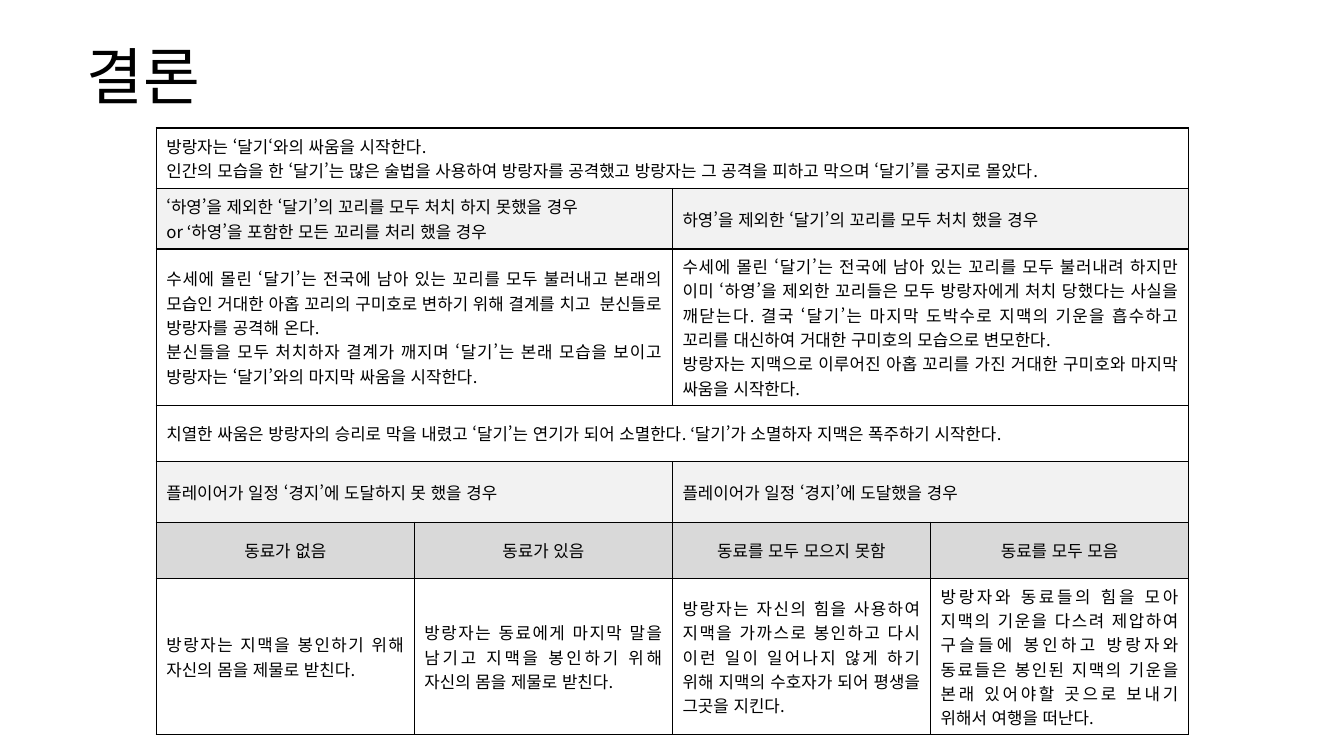
from pptx import Presentation
from pptx.dml.color import RGBColor
from pptx.enum.lang import MSO_LANGUAGE_ID
from pptx.enum.text import MSO_ANCHOR, PP_ALIGN
from pptx.oxml import parse_xml
from pptx.oxml.ns import nsdecls
from pptx.util import Inches, Pt

MIDDLE = MSO_ANCHOR.MIDDLE
LEFT, CENTER, JUSTIFY = PP_ALIGN.LEFT, PP_ALIGN.CENTER, PP_ALIGN.JUSTIFY
KOREAN = MSO_LANGUAGE_ID.KOREAN

FONT = "Noto Sans CJK KR"
BLACK, WHITE, LIGHT, GRAY = "000000", "FFFFFF", "F2F2F2", "D9D9D9"
COLUMNS = 4
COLUMN_WIDTH = 2.56

# Each row: height, fill, alignment, cells (equal spans); each cell lists its paragraphs
ROWS = [
    (0.6, WHITE, JUSTIFY, [
        ["방랑자는 ‘달기‘와의 싸움을 시작한다.",
         "인간의 모습을 한 ‘달기’는 많은 술법을 사용하여 방랑자를 공격했고 "
         "방랑자는 그 공격을 피하고 막으며 ‘달기’를 궁지로 몰았다."]]),
    (0.6, LIGHT, JUSTIFY, [
        ["‘하영’을 제외한 ‘달기’의 꼬리를 모두 처치 하지 못했을 경우",
         "or ‘하영’을 포함한 모든 꼬리를 처리 했을 경우"],
        ["하영’을 제외한 ‘달기’의 꼬리를 모두 처치 했을 경우"]]),
    (1.55, WHITE, JUSTIFY, [
        ["수세에 몰린 ‘달기’는 전국에 남아 있는 꼬리를 모두 불러내고 본래의 "
         "모습인 거대한 아홉 꼬리의 구미호로 변하기 위해 결계를 치고  분신들로 "
         "방랑자를 공격해 온다.",
         "분신들을 모두 처치하자 결계가 깨지며 ‘달기’는 본래 모습을 보이고 "
         "방랑자는 ‘달기’와의 마지막 싸움을 시작한다."],
        ["수세에 몰린 ‘달기’는 전국에 남아 있는 꼬리를 모두 불러내려 하지만 "
         "이미 ‘하영’을 제외한 꼬리들은 모두 방랑자에게 처치 당했다는 사실을 "
         "깨닫는다. 결국 ‘달기’는 마지막 도박수로 지맥의 기운을 흡수하고 "
         "꼬리를 대신하여 거대한 구미호의 모습으로 변모한다.",
         "방랑자는 지맥으로 이루어진 아홉 꼬리를 가진 거대한 구미호와 마지막 "
         "싸움을 시작한다."]]),
    (0.56, WHITE, JUSTIFY, [
        ["치열한 싸움은 방랑자의 승리로 막을 내렸고 ‘달기’는 연기가 되어 소멸한다. "
         "‘달기’가 소멸하자 지맥은 폭주하기 시작한다."]]),
    (0.6, LIGHT, JUSTIFY, [
        ["플레이어가 일정 ‘경지’에 도달하지 못 했을 경우"],
        ["플레이어가 일정 ‘경지’에 도달했을 경우"]]),
    (0.56, GRAY, CENTER, [
        ["동료가 없음"], ["동료가 있음"],
        ["동료를 모두 모으지 못함"], ["동료를 모두 모음"]]),
    (1.55, WHITE, JUSTIFY, [
        ["방랑자는 지맥을 봉인하기 위해 자신의 몸을 제물로 받친다."],
        ["방랑자는 동료에게 마지막 말을 남기고 지맥을 봉인하기 위해 "
         "자신의 몸을 제물로 받친다."],
        ["방랑자는 자신의 힘을 사용하여 지맥을 가까스로 봉인하고 다시 "
         "이런 일이 일어나지 않게 하기 위해 지맥의 수호자가 되어 평생을 "
         "그곳을 지킨다."],
        ["방랑자와 동료들의 힘을 모아 지맥의 기운을 다스려 제압하여 "
         "구슬들에 봉인하고 방랑자와 동료들은 봉인된 지맥의 기운을 "
         "본래 있어야할 곳으로 보내기 위해서 여행을 떠난다."]]),
]


def color(hex_string):
    return RGBColor.from_string(hex_string)


def write(tf, paragraphs, size=12, align=LEFT, spacing=None):
    for i, text in enumerate(paragraphs):
        p = tf.paragraphs[0] if i == 0 else tf.add_paragraph()
        p.alignment = align
        p.line_spacing = spacing
        r = p.add_run()
        r.text = text
        r.font.size = Pt(size)
        r.font.name = FONT
        r.font.language_id = KOREAN  # keeps the quotation marks narrow
        r.font.color.rgb = color(BLACK)
        # East Asian text takes its own typeface
        r.font._element.append(
            parse_xml(f'<a:ea {nsdecls("a")} typeface="{FONT}"/>'))


def add_title(s, text):
    sp = s.shapes.add_textbox(Inches(0.76), Inches(0.32), Inches(11.81), Inches(0.94))
    tf = sp.text_frame
    tf.word_wrap = True
    tf.vertical_anchor = MIDDLE
    write(tf, [text], size=44, spacing=0.9)


def set_borders(cell, width=1):
    tc_pr = cell._tc.get_or_add_tcPr()
    for i, side in enumerate(("lnL", "lnR", "lnT", "lnB")):
        tc_pr.insert(i, parse_xml(
            f'<a:{side} {nsdecls("a")} w="{Pt(width)}"><a:solidFill>'
            f'<a:srgbClr val="{BLACK}"/></a:solidFill></a:{side}>'))


def add_ending_table(s):
    height = sum(row[0] for row in ROWS)
    table = s.shapes.add_table(
        len(ROWS), COLUMNS, Inches(1.55), Inches(1.27),
        Inches(COLUMNS * COLUMN_WIDTH), Inches(height)).table
    table.first_row = table.horz_banding = False
    for column in table.columns:
        column.width = Inches(COLUMN_WIDTH)

    for i, (row_height, fill, align, contents) in enumerate(ROWS):
        table.rows[i].height = Inches(row_height)
        for cell in table.rows[i].cells:
            cell.fill.solid()
            cell.fill.fore_color.rgb = color(fill)
            set_borders(cell)
        # Cells of one row share the columns equally
        span = COLUMNS // len(contents)
        for j, paragraphs in enumerate(contents):
            cell = table.cell(i, j * span)
            if span > 1:
                cell.merge(table.cell(i, (j + 1) * span - 1))
            cell.vertical_anchor = MIDDLE
            write(cell.text_frame, paragraphs, align=align)


def main():
    prs = Presentation()
    prs.slide_width, prs.slide_height = Inches(13.33), Inches(7.5)
    s = prs.slides.add_slide(prs.slide_layouts[6])
    add_title(s, "결론")
    add_ending_table(s)
    prs.save("out.pptx")


main()
